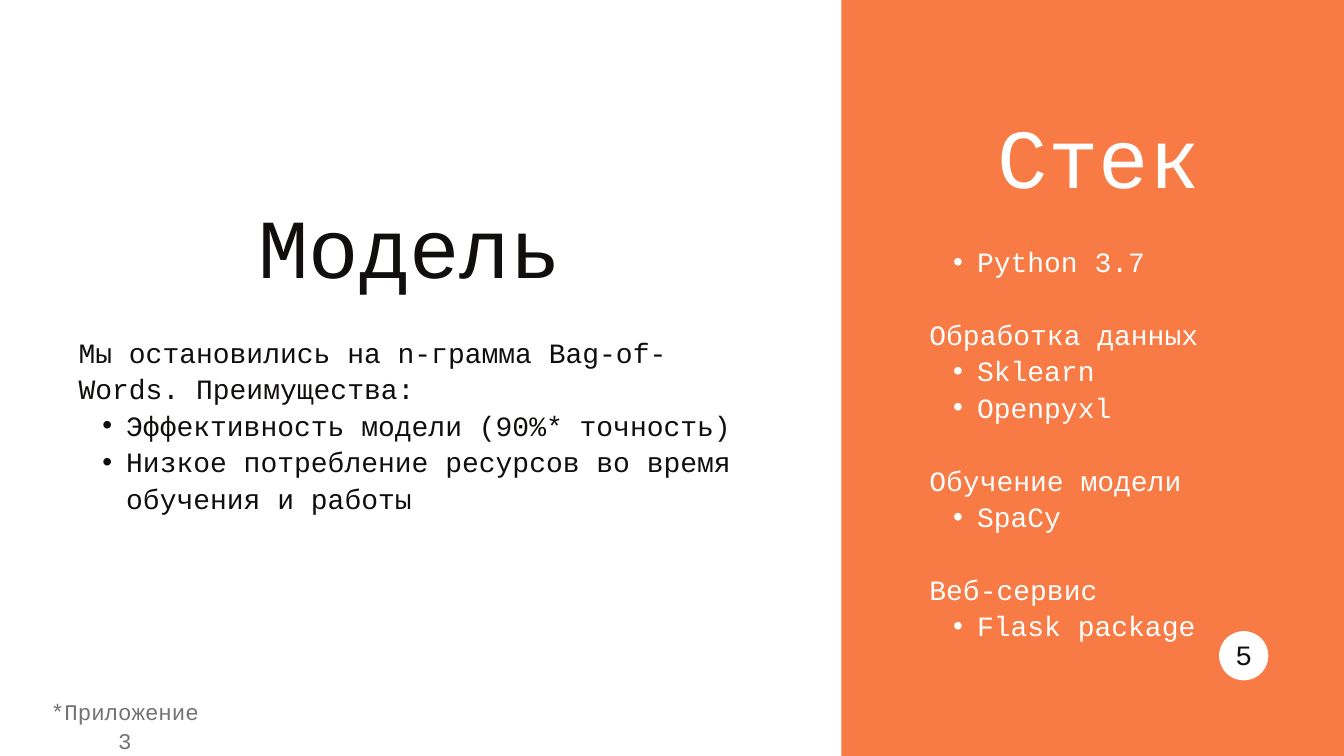
from lxml.etree import SubElement
from pptx import Presentation
from pptx.dml.color import RGBColor
from pptx.enum.shapes import MSO_SHAPE
from pptx.enum.text import PP_ALIGN
from pptx.oxml.ns import qn
from pptx.util import Cm, Pt

COLORS = {"orange": "F87B45", "black": "100F0D", "white": "FFFFFF", "gray": "737373"}
FONT = "Courier New"
LINE_RATIO = {90: 1.2, 30: 1.3, 24: 1.3}
SLIDE_WIDTH, SLIDE_HEIGHT = 50.8, 28.58
PANEL_LEFT = 31.8
BADGE_LEFT, BADGE_TOP, BADGE_SIZE = 46.08, 23.86, 1.86
TITLE_HEIGHT, TITLE_TO_BODY = 4.11, 5.21

COLUMNS = [
    {
        "title": "Модель",
        "place": (2.97, 7.37, 25.02),
        "body_height": 7.21,
        "color": "black",
        "sections": [
            ("Мы остановились на n-грамма Bag-of-Words. Преимущества:", [
                "Эффективность модели (90%* точность)",
                "Низкое потребление ресурсов во время обучения и работы",
            ]),
        ],
    },
    {
        "title": "Стек",
        "place": (35.13, 3.94, 12.8),
        "body_height": 15.88,
        "color": "white",
        "sections": [
            (None, ["Python 3.7"]),
            ("Обработка данных", ["Sklearn", "Openpyxl"]),
            ("Обучение модели", ["SpaCy"]),
            ("Веб-сервис", ["Flask package"]),
        ],
    },
]
PAGE_NUMBER = "5"
FOOTNOTE = "*Приложение 3"


def color(name):
    return RGBColor.from_string(COLORS[name])


def add_filled_shape(page, kind, left, top, width, height, fill):
    shape = page.shapes.add_shape(kind, Cm(left), Cm(top), Cm(width), Cm(height))
    shape.shadow.inherit = False
    shape.fill.solid()
    shape.fill.fore_color.rgb = color(fill)
    shape.line.fill.background()


def add_bullet(paragraph):
    properties = paragraph._p.get_or_add_pPr()
    properties.set("marL", str(Cm(1.8)))
    properties.set("indent", str(-Cm(0.9)))
    SubElement(properties, qn("a:buFont"), typeface="Arial")
    SubElement(properties, qn("a:buChar"), char="•")


def add_text(page, left, top, width, height, lines, size, fill, align):
    box = page.shapes.add_textbox(Cm(left), Cm(top), Cm(width), Cm(height))
    frame = box.text_frame
    frame.word_wrap = True
    frame.margin_left = frame.margin_right = frame.margin_top = frame.margin_bottom = 0
    line_height = Pt(size * LINE_RATIO[size])
    for index, (text, bulleted, opens_section) in enumerate(lines):
        paragraph = frame.paragraphs[0] if index == 0 else frame.add_paragraph()
        if bulleted:
            add_bullet(paragraph)
        paragraph.alignment = align
        paragraph.line_spacing = line_height
        if opens_section and index:
            paragraph.space_before = line_height
        span = paragraph.add_run()
        span.text = text
        span.font.name = FONT
        span.font.size = Pt(size)
        span.font.color.rgb = color(fill)


def add_label(page, left, top, width, height, text, size, fill):
    add_text(page, left, top, width, height, [(text, False, False)], size, fill, PP_ALIGN.CENTER)


def section_lines(sections):
    lines = []
    for heading, items in sections:
        if heading:
            lines.append((heading, False, True))
        lines += [(item, True, False) for item in items]
    return lines


def main():
    deck = Presentation()
    deck.slide_width, deck.slide_height = Cm(SLIDE_WIDTH), Cm(SLIDE_HEIGHT)
    page = deck.slides.add_slide(deck.slide_layouts[6])

    add_filled_shape(page, MSO_SHAPE.RECTANGLE, PANEL_LEFT, 0,
                     SLIDE_WIDTH - PANEL_LEFT, SLIDE_HEIGHT, "orange")
    for column in COLUMNS:
        left, top, width = column["place"]
        add_label(page, left, top, width, TITLE_HEIGHT, column["title"], 90, column["color"])
        add_text(page, left, top + TITLE_TO_BODY, width, column["body_height"],
                 section_lines(column["sections"]), 30, column["color"], PP_ALIGN.LEFT)

    add_filled_shape(page, MSO_SHAPE.OVAL, BADGE_LEFT, BADGE_TOP, BADGE_SIZE, BADGE_SIZE, "white")
    add_label(page, BADGE_LEFT + BADGE_SIZE / 4, BADGE_TOP + 0.12, BADGE_SIZE / 2, 1.45,
              PAGE_NUMBER, 30, "black")
    add_label(page, 1.57, 26.29, 6.3, 1.19, FOOTNOTE, 24, "gray")
    deck.save("out.pptx")


if __name__ == "__main__":
    main()
